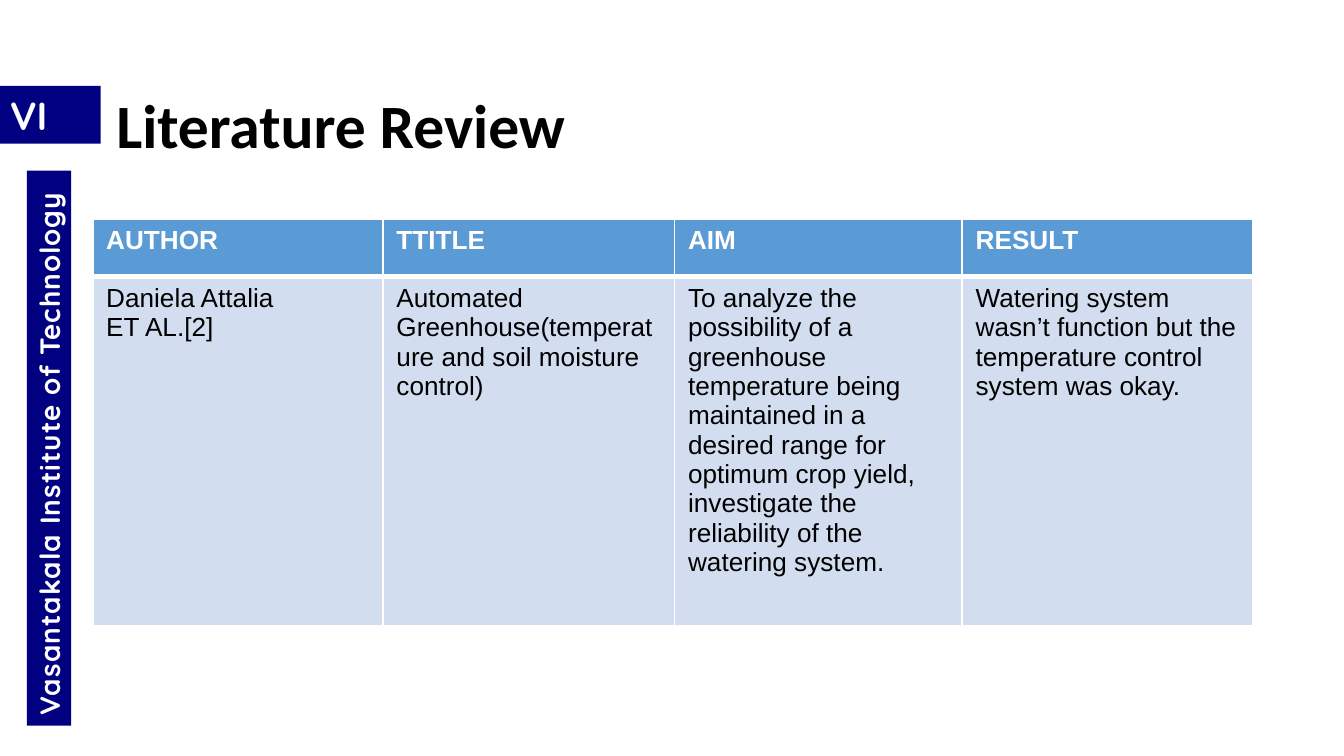
"""Build a literature review slide with institute banners and a summary table."""
from dataclasses import dataclass

from lxml import etree
from pptx import Presentation
from pptx.dml.color import RGBColor
from pptx.enum.shapes import MSO_SHAPE
from pptx.enum.text import MSO_ANCHOR, MSO_AUTO_SIZE, PP_ALIGN
from pptx.oxml.ns import qn
from pptx.util import Emu, Pt

RECT = MSO_SHAPE.RECTANGLE
TOP, MIDDLE = MSO_ANCHOR.TOP, MSO_ANCHOR.MIDDLE
LEFT = PP_ALIGN.LEFT
NO_FIT = MSO_AUTO_SIZE.NONE
TITLE_ONLY = 5
PX = 4572
WIDTH, HEIGHT = 2000, 1125
COLUMNS = [432, 434, 428, 432]
ROWS = [86, 520]
STUDIES = [
    ["AUTHOR", "TTITLE", "AIM", "RESULT"],
    [
        "Daniela Attalia\nET AL.[2]",
        "Automated Greenhouse(temperature and soil moisture control)",
        "To analyze the possibility of a greenhouse temperature being maintained in a "
        "desired range for optimum crop yield, investigate the reliability of the "
        "watering system.",
        "Watering system wasn’t function but the temperature control system was okay.",
    ],
]


@dataclass(frozen=True)
class Theme:
    """Colours, fonts and type sizes of the slide."""
    navy: str = "000080"
    white: str = "FFFFFF"
    black: str = "000000"
    header: str = "5B9BD5"
    body: str = "D2DEEF"
    title_font: str = "Calibri"
    banner_font: str = "Quicksand"
    table_font: str = "Arial"
    title_size: int = 33
    badge_size: int = 21
    banner_size: int = 15
    table_size: int = 14


def px(*lengths):
    """Turn px lengths into EMU."""
    return [Emu(length * PX) for length in lengths]


def write(tf, text, *, font, size, color, bold=True, line=None, tracking=0):
    """Write one left-aligned paragraph per line of text."""
    for i, words in enumerate(text.split("\n")):
        p = tf.add_paragraph() if i else tf.paragraphs[0]
        p.alignment = LEFT
        if line:
            p.line_spacing = line
        r = p.add_run()
        r.text = words
        r.font.name, r.font.size, r.font.bold = font, Pt(size), bold
        r.font.color.rgb = RGBColor.from_string(color)
        if tracking:
            r.font._element.set("spc", str(tracking))


class Deck:
    """Hold the theme and the current slide, and draw its elements."""

    def __init__(self, prs, theme):
        """Add a slide with a title placeholder."""
        self.theme = theme
        self.s = prs.slides.add_slide(prs.slide_layouts[TITLE_ONLY])

    def frame(self, sp, anchor):
        """Set the insets, wrapping and anchor of a shape's text."""
        tf = sp.text_frame
        tf.margin_left, tf.margin_top, tf.margin_right, tf.margin_bottom = px(15, 8, 15, 8)
        tf.word_wrap, tf.auto_size, tf.vertical_anchor = True, NO_FIT, anchor
        return tf

    def banner(self, text, box, size, rotation=0, tracking=0):
        """Draw a navy banner with white text."""
        t = self.theme
        sp = self.s.shapes.add_shape(RECT, *px(*box))
        sp.rotation = rotation
        sp.shadow.inherit = False
        sp.fill.solid()
        sp.fill.fore_color.rgb = RGBColor.from_string(t.navy)
        sp.line.fill.background()
        write(self.frame(sp, TOP), text, font=t.banner_font, size=size,
              color=t.white, tracking=tracking)

    def title(self, text, box):
        """Place and fill the title placeholder."""
        t = self.theme
        sp = self.s.shapes.title
        sp.left, sp.top, sp.width, sp.height = px(*box)
        write(self.frame(sp, MIDDLE), text, font=t.title_font, size=t.title_size,
              color=t.black, line=0.9)

    def borders(self, cell, bottom):
        """Give a cell white borders, with its own bottom width in points."""
        tc_pr = cell._tc.get_or_add_tcPr()
        sides = {"a:lnL": 1, "a:lnR": 1, "a:lnT": 1, "a:lnB": bottom}
        for i, (side, width) in enumerate(sides.items()):
            ln = etree.Element(qn(side), w=str(Pt(width)))
            fill = etree.SubElement(ln, qn("a:solidFill"))
            etree.SubElement(fill, qn("a:srgbClr"), val=self.theme.white)
            tc_pr.insert(i, ln)

    def table(self, rows, left, top, widths, heights):
        """Draw a table with a coloured header row."""
        t = self.theme
        box = px(left, top, sum(widths), sum(heights))
        table = self.s.shapes.add_table(len(rows), len(widths), *box).table
        for column, width in zip(table.columns, px(*widths)):
            column.width = width
        for row, height in zip(table.rows, px(*heights)):
            row.height = height
        for i, texts in enumerate(rows):
            head = i == 0
            for j, text in enumerate(texts):
                cell = table.cell(i, j)
                cell.fill.solid()
                cell.fill.fore_color.rgb = RGBColor.from_string(t.header if head else t.body)
                self.borders(cell, 3 if head else 1)
                write(cell.text_frame, text, font=t.table_font, size=t.table_size,
                      color=t.white if head else t.black, bold=head)


def main():
    """Build and save the slide."""
    prs = Presentation()
    prs.slide_width, prs.slide_height = px(WIDTH, HEIGHT)
    theme = Theme()
    deck = Deck(prs, theme)
    deck.banner("VI", (0, 128, 150, 86), theme.badge_size)
    deck.banner("Vasantakala Institute of Technology", (-340, 634, 826, 66),
                theme.banner_size, rotation=270, tracking=55)
    deck.title("Literature Review", (158, 82, 1724, 218))
    deck.table(STUDIES, 138, 326, COLUMNS, ROWS)
    prs.save("out.pptx")


if __name__ == "__main__":
    main()
